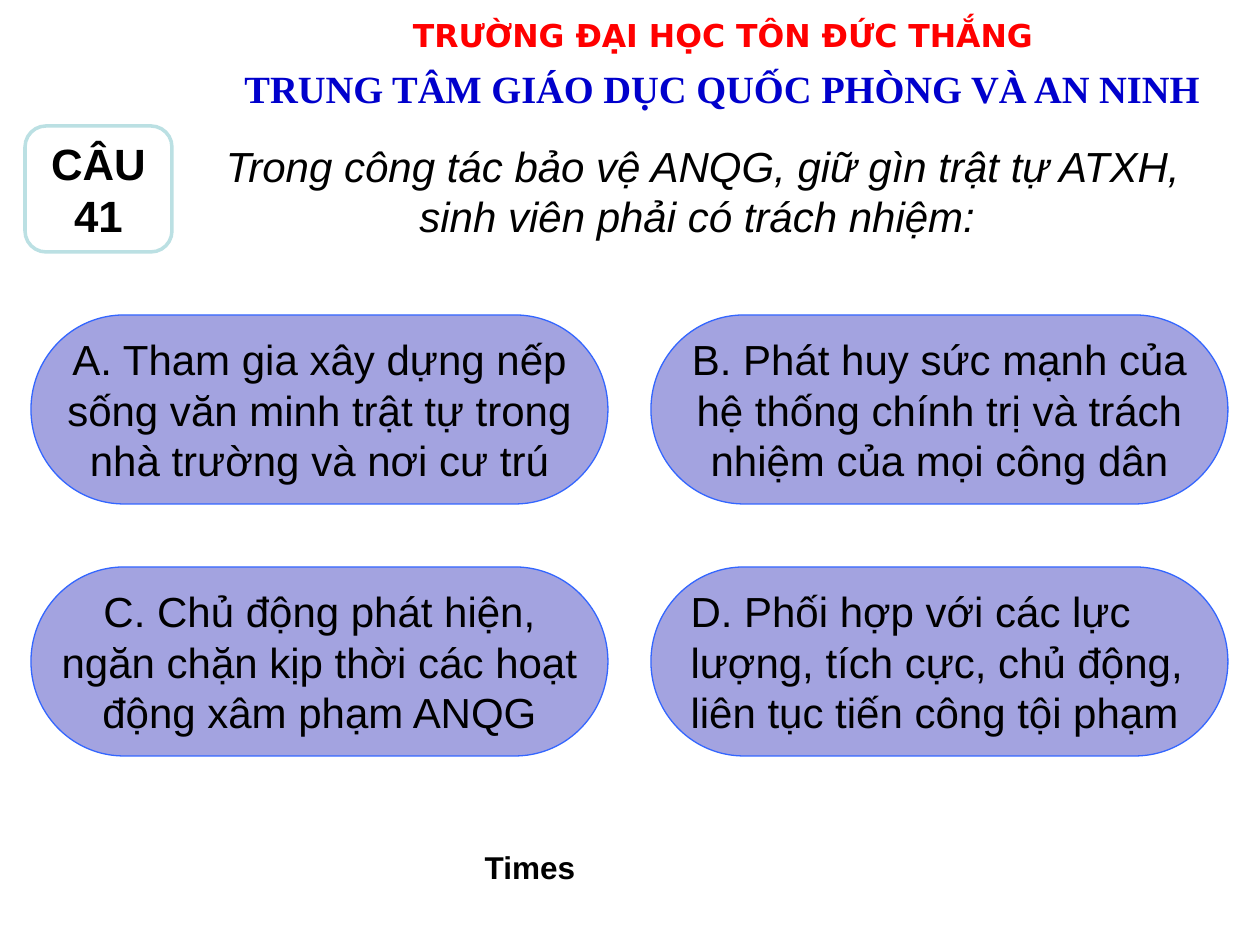
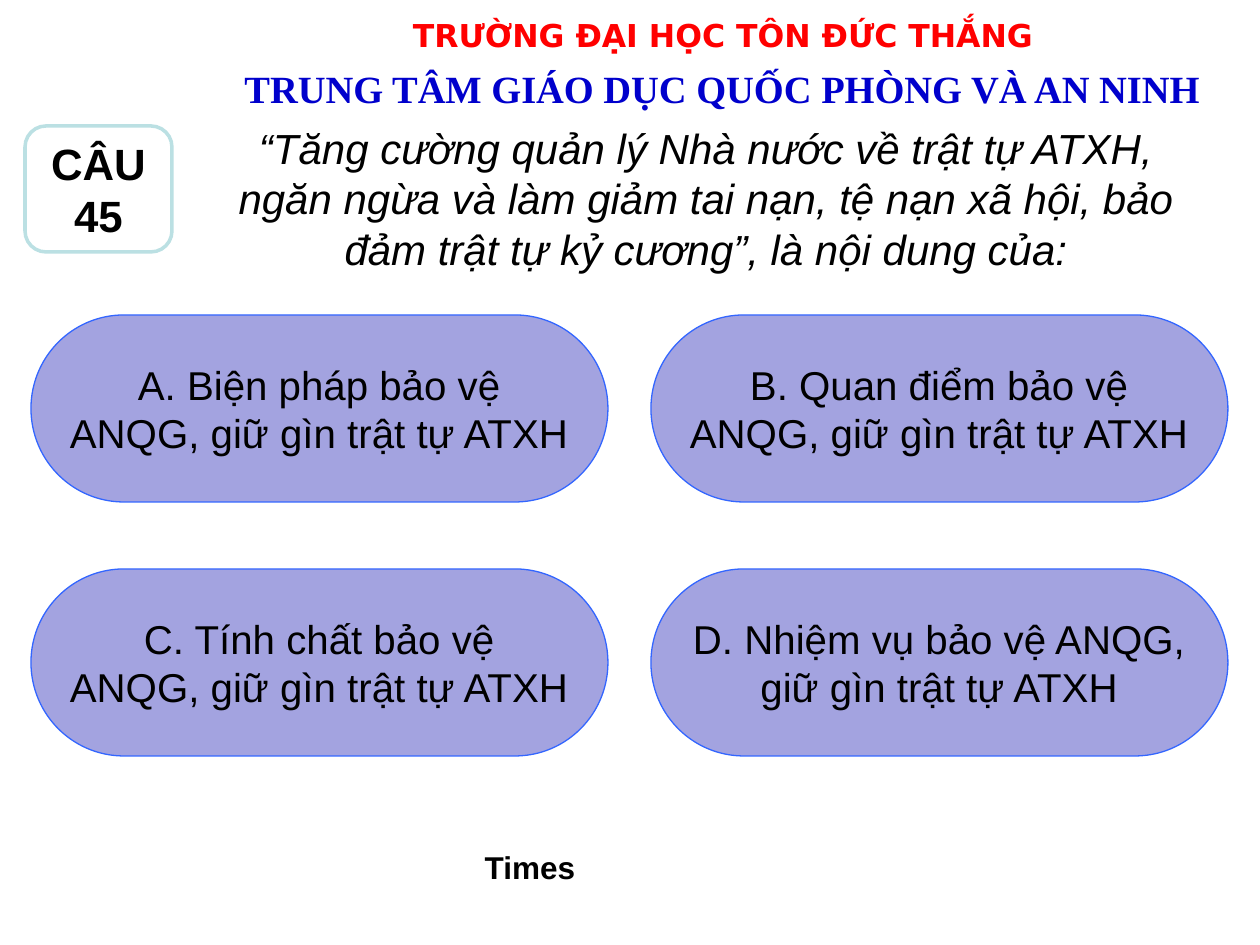
from dataclasses import dataclass

from pptx import Presentation
from pptx.dml.color import RGBColor
from pptx.enum.shapes import MSO_SHAPE as Shape
from pptx.enum.text import MSO_ANCHOR as Anchor, MSO_AUTO_SIZE as AutoSize, PP_ALIGN as Align
from pptx.util import Emu, Pt

# Content
SCHOOL = "TRƯỜNG ĐẠI HỌC TÔN ĐỨC THẮNG"
CENTRE = "TRUNG TÂM GIÁO DỤC QUỐC PHÒNG VÀ AN NINH"
TIMER = "Times"
QUESTIONS = [
    {
        "number": "41",
        "question": "Trong công tác bảo vệ ANQG, giữ gìn trật tự ATXH, "
                    "sinh viên phải có trách nhiệm: ",
        "question_box": (199, 134, 1008, 113),
        "answers": [
            ["A. Tham gia xây dựng nếp", "sống văn minh trật tự trong", "nhà trường và nơi cư trú"],
            ["B. Phát huy sức mạnh của", "hệ thống chính trị và trách", "nhiệm của mọi công dân"],
            ["C. Chủ động phát hiện,", "ngăn chặn kịp thời các hoạt", "động xâm phạm ANQG"],
            ["D. Phối hợp với các lực", "lượng, tích cực, chủ động,", "liên tục tiến công tội phạm"],
        ],
        "answer_size": 24,
        "answer_height": 189,
        "left_aligned": "D",
    },
    {
        "number": "45",
        "question": "“Tăng cường quản lý Nhà nước về trật tự ATXH, ngăn ngừa và làm giảm "
                    "tai nạn, tệ nạn xã hội, bảo đảm trật tự kỷ cương”, là nội dung của:",
        "question_box": (195, 116, 1022, 164),
        "answers": [
            ["A. Biện pháp bảo vệ", "ANQG, giữ gìn trật tự ATXH"],
            ["B. Quan điểm bảo vệ", "ANQG, giữ gìn trật tự ATXH"],
            ["C. Tính chất bảo vệ", "ANQG, giữ gìn trật tự ATXH"],
            ["D. Nhiệm vụ bảo vệ ANQG,", "giữ gìn trật tự ATXH"],
        ],
        "answer_size": 23,
        "answer_height": 187,
        "left_aligned": "",
    },
]

# Places in px: left, top, width, height
PX_PER_INCH = 126
SLIDE = (1260, 945)
SCHOOL_BOX = (256, 10, 934, 43)
CENTRE_BOX = (218, 59, 1008, 40)
BADGE_BOX = (25, 126, 147, 126)
TIMER_BOX = (462, 842, 136, 50)
ANSWER_WIDTH = 577
ANSWER_LEFT, ANSWER_RIGHT = 31, 1228
ANSWER_TOP, ANSWER_BOTTOM = 315, 756


@dataclass(frozen=True)
class Theme:
    font: str = "Arial"
    school_font: str = "DejaVu Sans"
    centre_font: str = "Times New Roman"
    ink: str = "000000"
    paper: str = "FFFFFF"
    school: str = "FF0000"
    centre: str = "0000CC"
    answer: str = "A3A3E0"
    answer_edge: str = "3366FF"
    badge_edge: str = "BBE0E3"
    school_size: int = 18
    centre_size: int = 22
    question_size: int = 24
    badge_size: int = 25
    timer_size: int = 18


THEME = Theme()


def px(length):
    return Emu(round(length * 914400 / PX_PER_INCH))


def place(box):
    return [px(length) for length in box]


def write(part, lines, size, font=THEME.font, color=THEME.ink, bold=False, italic=False,
          align=Align.CENTER, anchor=Anchor.TOP, wrap=False):
    frame = part.text_frame
    frame.text = "\n".join(lines)
    frame.auto_size = AutoSize.NONE
    frame.word_wrap = wrap
    frame.vertical_anchor = anchor
    for paragraph in frame.paragraphs:
        paragraph.alignment = align
        style = paragraph.font
        style.name, style.size = font, Pt(size)
        style.bold, style.italic = bold, italic
        style.color.rgb = RGBColor.from_string(color)


def add_panel(slide, kind, box, fill, edge, edge_width):
    panel = slide.shapes.add_shape(kind, *place(box))
    panel.shadow.inherit = False
    panel.fill.solid()
    panel.fill.fore_color.rgb = RGBColor.from_string(fill)
    panel.line.color.rgb = RGBColor.from_string(edge)
    panel.line.width = Pt(edge_width)
    return panel


def add_header(slide):
    """Write the two header lines, then move them to the layout all slides share."""
    school = slide.shapes.add_textbox(*place(SCHOOL_BOX))
    write(school, [SCHOOL], THEME.school_size, THEME.school_font, THEME.school, bold=True)
    centre = slide.shapes.add_textbox(*place(CENTRE_BOX))
    write(centre, [CENTRE], THEME.centre_size, THEME.centre_font, THEME.centre, bold=True)
    for header in (school, centre):
        slide.slide_layout.shapes.element.append(header.element)


def fill_slide(slide, item):
    # Question
    question = slide.shapes.title
    question.left, question.top, question.width, question.height = place(item["question_box"])
    write(question, [item["question"]], THEME.question_size, italic=True, wrap=True)

    # Number badge
    badge = add_panel(slide, Shape.ROUNDED_RECTANGLE, BADGE_BOX, THEME.paper, THEME.badge_edge, 2)
    write(badge, ["CÂU", item["number"]], THEME.badge_size, bold=True, anchor=Anchor.MIDDLE)

    # Answers, two by two
    height = item["answer_height"]
    lefts = (ANSWER_LEFT, ANSWER_RIGHT - ANSWER_WIDTH)
    tops = (ANSWER_TOP, ANSWER_BOTTOM - height)
    for index, lines in enumerate(item["answers"]):
        row, column = divmod(index, 2)
        box = (lefts[column], tops[row], ANSWER_WIDTH, height)
        answer = add_panel(slide, Shape.FLOWCHART_TERMINATOR, box,
                           THEME.answer, THEME.answer_edge, 0.75)
        align = Align.LEFT if lines[0][0] == item["left_aligned"] else Align.CENTER
        write(answer, lines, item["answer_size"], align=align, anchor=Anchor.MIDDLE)

    # Timer label
    timer = slide.shapes.add_textbox(*place(TIMER_BOX))
    write(timer, [TIMER], THEME.timer_size, bold=True, wrap=True)


def main():
    deck = Presentation()
    deck.slide_width, deck.slide_height = place(SLIDE)
    layout = deck.slide_layouts.get_by_name("Title Only")
    for footer in list(layout.placeholders)[1:]:
        layout.shapes.element.remove(footer.element)
    slides = [deck.slides.add_slide(layout) for _ in QUESTIONS]
    add_header(slides[0])
    for slide, item in zip(slides, QUESTIONS):
        fill_slide(slide, item)
    deck.save("out.pptx")


if __name__ == "__main__":
    main()
